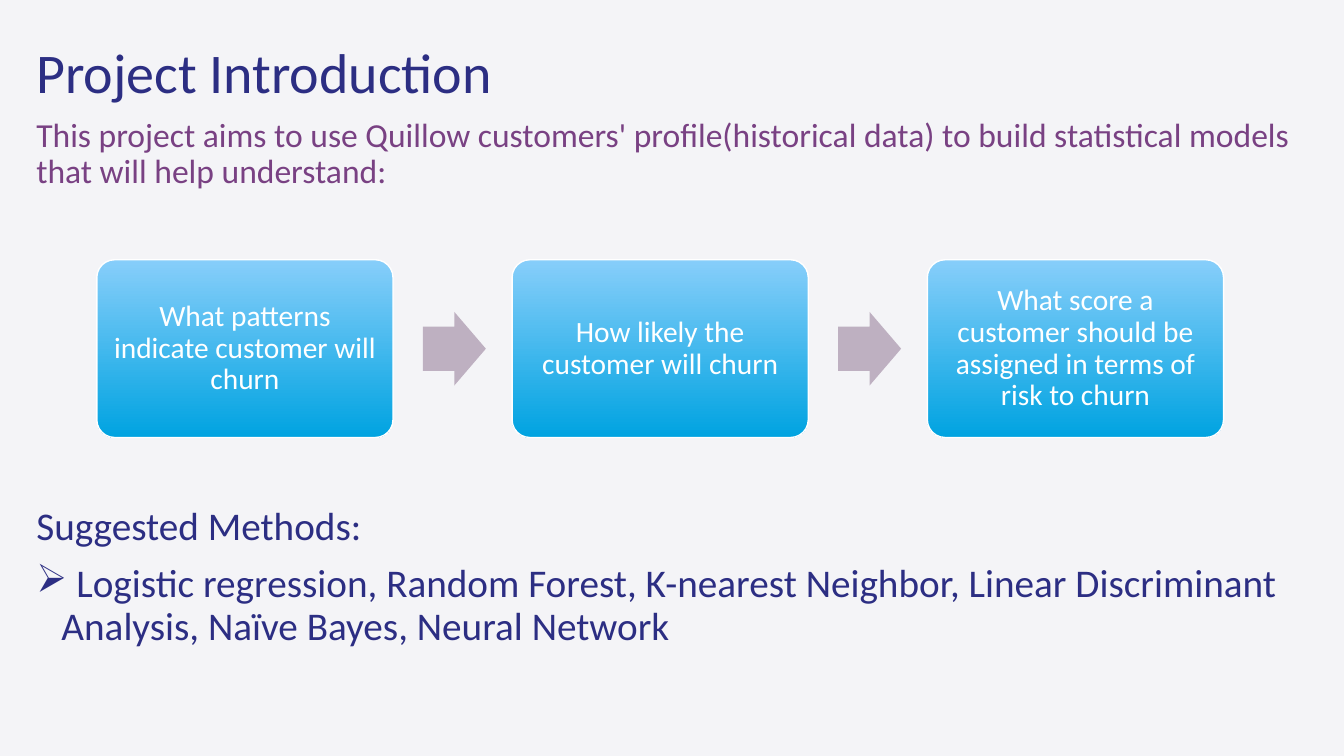
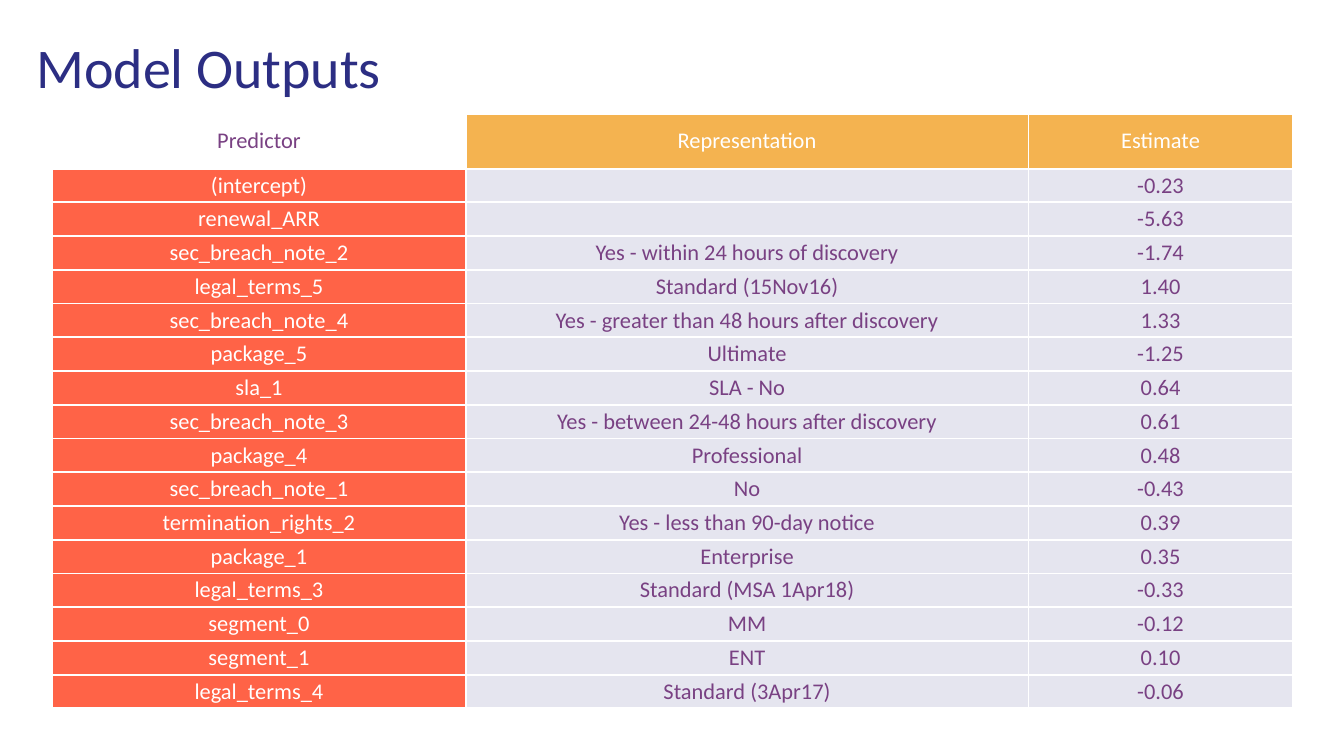
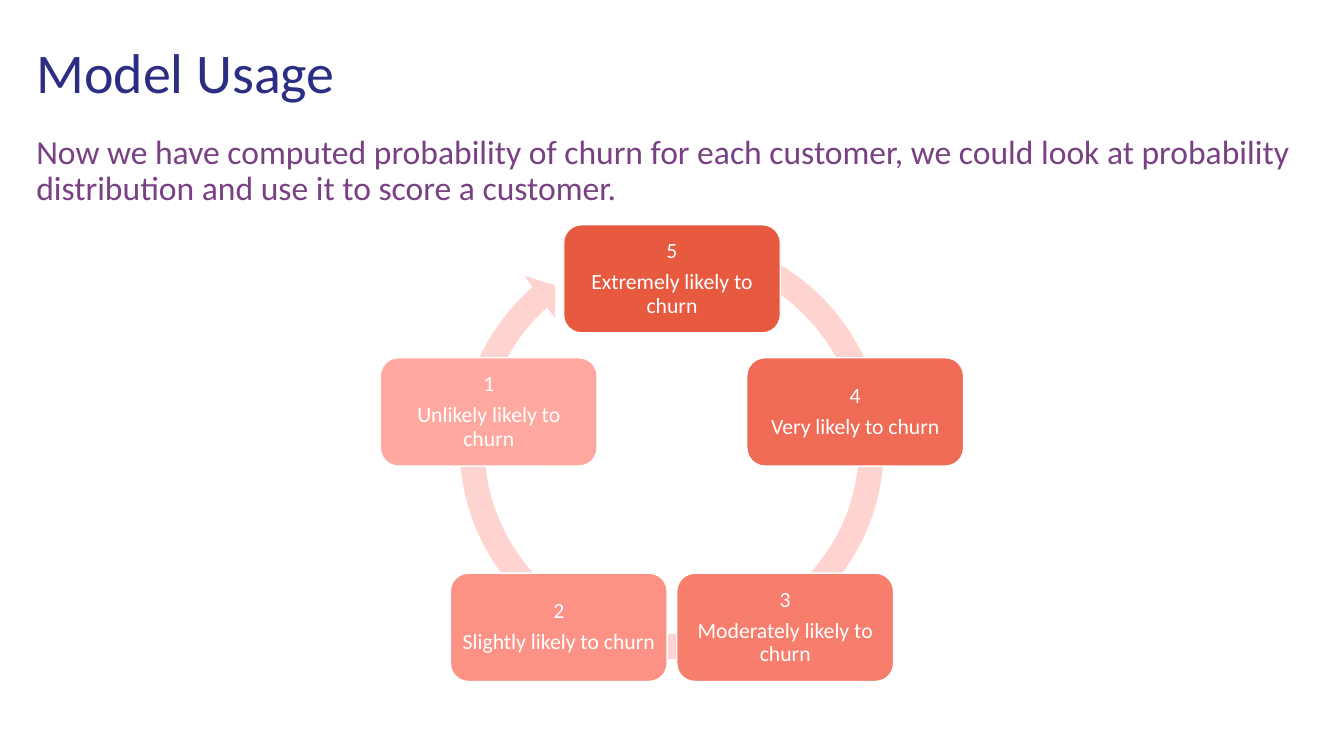
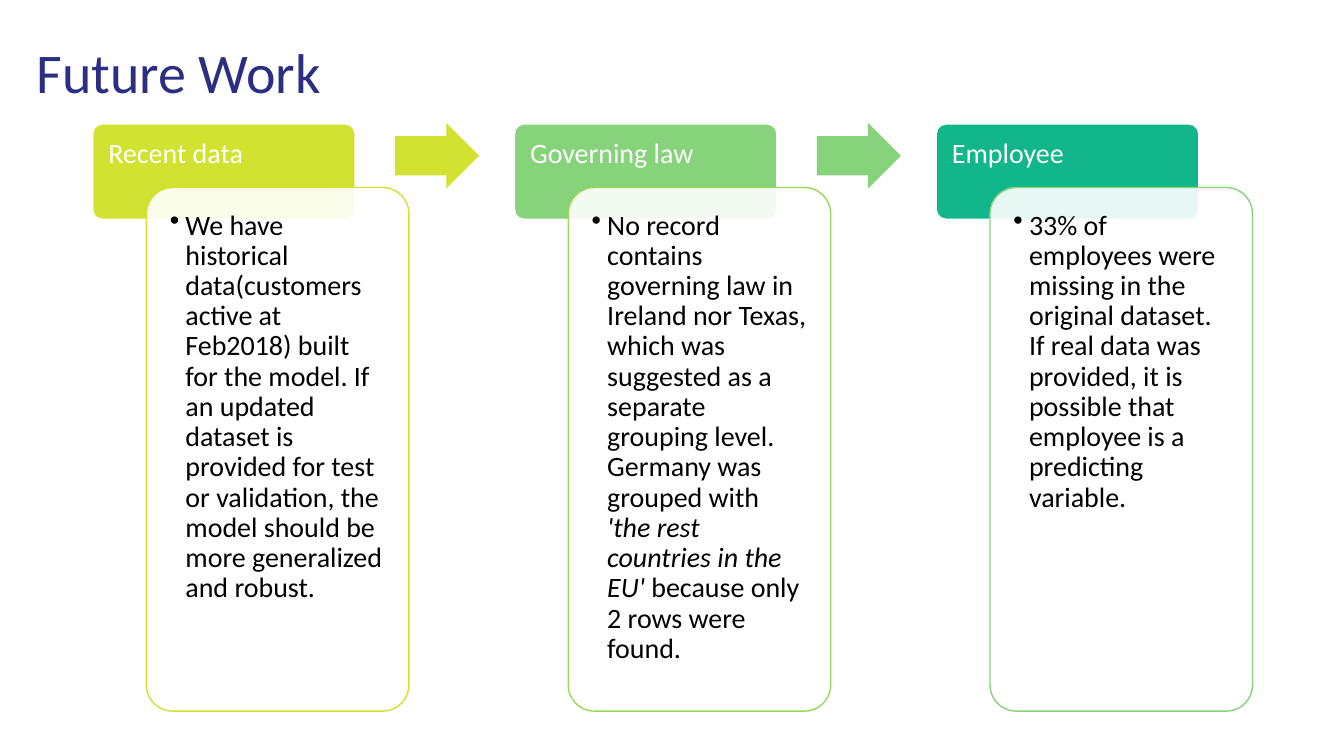
"""Build the four-slide customer churn project deck."""
import math

from lxml import etree
from pptx import Presentation
from pptx import util as u
from pptx.dml import color
from pptx.enum import shapes, text
from pptx.oxml import ns

FONT = "Calibri"
COLORS = {
    "navy": "2C2E83", "purple": "794183", "white": "FFFFFF", "black": "000000",
    "mist": "F4F4F7", "sky": "87CEFA", "azure": "00A3E1", "mauve": "BEB0C1",
    "amber": "F4B350", "tomato": "FF6347", "blush": "FFD3CF",
    "risk5": "E75A40", "risk4": "F06B56", "risk3": "F77D6D",
    "risk2": "FC9285", "risk1": "FFA8A0",
    "lime": "D1E231", "lime_edge": "D1E230", "leaf_edge": "9AD958",
    "leaf": "87D37C", "teal": "11B68A",
}
LEFT, CENTER = text.PP_ALIGN.LEFT, text.PP_ALIGN.CENTER
TOP, MIDDLE, BOTTOM = (text.MSO_ANCHOR.TOP, text.MSO_ANCHOR.MIDDLE,
                       text.MSO_ANCHOR.BOTTOM)
BOX, ARROW = shapes.MSO_SHAPE.ROUNDED_RECTANGLE, shapes.MSO_SHAPE.RIGHT_ARROW
TEXT_LEFT, TEXT_WIDTH = 1.32, 65.15
TEXT_INSETS = (0.51, 0.25)

QUESTIONS = [
    "What patterns indicate customer will churn",
    "How likely the customer will churn",
    "What score a customer should be assigned in terms of risk to churn",
]
HEADINGS = ("Predictor", "Representation", "Estimate")
ESTIMATES = [
    ("(intercept)", "", "-0.23"),
    ("renewal_ARR", "", "-5.63"),
    ("sec_breach_note_2", "Yes - within 24 hours of discovery", "-1.74"),
    ("legal_terms_5", "Standard (15Nov16)", "1.40"),
    ("sec_breach_note_4", "Yes - greater than 48 hours after discovery", "1.33"),
    ("package_5", "Ultimate", "-1.25"),
    ("sla_1", "SLA - No", "0.64"),
    ("sec_breach_note_3", "Yes - between 24-48 hours after discovery", "0.61"),
    ("package_4", "Professional", "0.48"),
    ("sec_breach_note_1", "No", "-0.43"),
    ("termination_rights_2", "Yes - less than 90-day notice", "0.39"),
    ("package_1", "Enterprise", "0.35"),
    ("legal_terms_3", "Standard (MSA 1Apr18)", "-0.33"),
    ("segment_0", "MM", "-0.12"),
    ("segment_1", "ENT", "0.10"),
    ("legal_terms_4", "Standard (3Apr17)", "-0.06"),
]
SCORES = [
    ("5", "Extremely likely to churn"),
    ("4", "Very likely to churn"),
    ("3", "Moderately likely to churn"),
    ("2", "Slightly likely to churn"),
    ("1", "Unlikely likely to churn"),
]
FUTURE_STEPS = [
    ("Recent data", "lime", "lime_edge", "lime_edge", [
        ("We have historical data(customers active at Feb2018) built for the "
         "model. If an updated dataset is provided for test or validation, the "
         "model should be more generalized and robust.", False)]),
    ("Governing law", "leaf", "leaf_edge", "leaf", [
        ("No record contains governing law in Ireland nor Texas, which was "
         "suggested as a separate grouping level. Germany was grouped with ", False),
        ("'the rest countries in the EU'", True),
        (" because only 2 rows were found.", False)]),
    ("Employee", "teal", "leaf", None, [
        ("33% of employees were missing in the original dataset. If real data "
         "was provided, it is possible that employee is a predicting variable.",
         False)]),
]


def rgb(name):
    """Return the named palette colour."""
    return color.RGBColor.from_string(COLORS[name])


def paint(fill, name, opacity=100):
    """Give a fill a solid colour, optionally see-through."""
    fill.solid()
    fill.fore_color.rgb = rgb(name)
    if opacity < 100:
        tint = fill._xPr.find(ns.qn("a:solidFill"))[0]
        etree.SubElement(tint, ns.qn("a:alpha"), val=str(opacity * 1000))


def set_frame(frame, insets, anchor):
    """Set wrapping, margins and anchor of a text frame."""
    frame.word_wrap = True
    frame.auto_size = text.MSO_AUTO_SIZE.NONE
    frame.vertical_anchor = anchor
    frame.margin_left = frame.margin_right = u.Cm(insets[0])
    frame.margin_top = frame.margin_bottom = u.Cm(insets[1])


def add_bullet(paragraph, mark, ink, margin, indent):
    """Give a paragraph a coloured bullet and a hanging indent."""
    props = paragraph._p.get_or_add_pPr()
    props.set("marL", str(u.Cm(margin)))
    props.set("indent", str(u.Cm(indent)))
    tint = etree.SubElement(props, ns.qn("a:buClr"))
    etree.SubElement(tint, ns.qn("a:srgbClr"), val=COLORS[ink])
    etree.SubElement(props, ns.qn("a:buChar"), char=mark)


def write(frame, paragraphs, size, ink, align=LEFT, gap=0, spacing=0.9):
    """Fill a frame with paragraphs, each a list of (words, italic) runs."""
    for index, runs in enumerate(paragraphs):
        paragraph = frame.add_paragraph() if index else frame.paragraphs[0]
        paragraph.alignment = align
        paragraph.line_spacing = spacing
        paragraph.space_before = u.Pt(gap if index else 0)
        for words, italic in runs:
            run = paragraph.add_run()
            run.text = words
            run.font.name, run.font.size = FONT, u.Pt(size)
            run.font.color.rgb = rgb(ink)
            run.font.italic = italic


def plain(*lines):
    """Turn strings into single-run upright paragraphs."""
    return [[(line, False)] for line in lines]


def add_slide(deck, heading, top=1.6, background="white"):
    """Add a title-only slide with its styled heading."""
    slide = deck.slides.add_slide(deck.slide_layouts[5])
    paint(slide.background.fill, background)
    title = slide.shapes.title
    title.left, title.top = u.Cm(TEXT_LEFT), u.Cm(top)
    title.width, title.height = u.Cm(TEXT_WIDTH), u.Cm(4.39)
    set_frame(title.text_frame, TEXT_INSETS, MIDDLE)
    write(title.text_frame, plain(heading), 80, "navy")
    return slide


def add_text(slide, top, height, lines, size, ink, anchor=MIDDLE, gap=0):
    """Add a full-width text box and return its frame."""
    box = slide.shapes.add_textbox(
        u.Cm(TEXT_LEFT), u.Cm(top), u.Cm(TEXT_WIDTH), u.Cm(height))
    set_frame(box.text_frame, TEXT_INSETS, anchor)
    write(box.text_frame, plain(*lines), size, ink, gap=gap)
    return box.text_frame


def add_figure(slide, kind, place, fill, edge=None, adjust=(), opacity=100):
    """Add a flat preset shape with place given as left, top, width, height."""
    figure = slide.shapes.add_shape(kind, *map(u.Cm, place))
    figure.shadow.inherit = False
    for index, value in enumerate(adjust):
        figure.adjustments[index] = value
    paint(figure.fill, fill, opacity)
    if edge:
        figure.line.color.rgb = rgb(edge)
        figure.line.width = u.Pt(2)
    else:
        figure.line.fill.background()
    return figure


def add_flow_arrow(slide, place, fill):
    """Add a block arrow between two steps."""
    add_figure(slide, ARROW, place, fill, adjust=(0.6, 0.5))


def add_question(slide, left, question):
    """Add one gradient question box."""
    box = add_figure(slide, BOX, (left, 13.09, 14.93, 8.96), "azure", "white", (0.1,))
    box.fill.gradient()
    box.fill.gradient_angle = 270
    for stop, name in zip(box.fill.gradient_stops, ("sky", "azure")):
        stop.color.rgb = rgb(name)
    set_frame(box.text_frame, (0.43, 0.43), MIDDLE)
    write(box.text_frame, plain(question), 42, "white", CENTER)


def add_borders(cell):
    """Draw white borders around a table cell."""
    props = cell._tc.get_or_add_tcPr()
    for side in ("lnL", "lnR", "lnT", "lnB"):
        line = etree.SubElement(props, ns.qn(f"a:{side}"), w=str(u.Pt(3)))
        solid = etree.SubElement(line, ns.qn("a:solidFill"))
        etree.SubElement(solid, ns.qn("a:srgbClr"), val=COLORS["white"])


def fill_cell(cell, words, column, is_heading):
    """Style and fill one cell of the estimates table."""
    add_borders(cell)
    ink = "white" if is_heading == (column > 0) else "purple"
    cell.vertical_anchor = MIDDLE
    if is_heading:
        cell.vertical_anchor = BOTTOM if column else TOP
        cell.margin_left = cell.margin_right = u.Cm(0.69)
        cell.margin_top = cell.margin_bottom = u.Cm(0.69)
    if not is_heading:
        paint(cell.fill, *(("navy", 12) if column else ("tomato",)))
    elif column:
        paint(cell.fill, "amber")
    else:
        cell.fill.background()
    if words:
        write(cell.text_frame, plain(words), 32, ink, CENTER, spacing=1.0)


def add_estimates(slide):
    """Add the table of model estimates."""
    rows = [HEADINGS, *ESTIMATES]
    widths = (20.83, 28.37, 13.31)
    table = slide.shapes.add_table(
        len(rows), len(widths), u.Cm(2.64), u.Cm(5.74),
        u.Cm(sum(widths)), u.Cm(28.95)).table
    table.first_row = table.horz_banding = False
    for column, width in zip(table.columns, widths):
        column.width = u.Cm(width)
    for r, words in enumerate(rows):
        table.rows[r].height = u.Cm(1.7 if r else 1.75)
        for c, word in enumerate(words):
            fill_cell(table.cell(r, c), word, c, r == 0)


def add_score_cycle(slide):
    """Add the ring of churn scores, clockwise from the top."""
    center_x, center_y, radius = 33.87, 23.76, 9.71
    width, height = 10.93, 5.46
    add_figure(slide, shapes.MSO_SHAPE.CIRCULAR_ARROW, (22.48, 11.15, 22.76, 22.76),
               "blush", adjust=(0.055, 3.307, 137.194, 174.205, 0.058))
    for index, (score, meaning) in enumerate(SCORES):
        angle = math.tau * index / len(SCORES)
        left = center_x + radius * math.sin(angle) - width / 2
        top = center_y - radius * math.cos(angle) - height / 2
        box = add_figure(slide, BOX, (left, top, width, height), f"risk{score}", "white")
        set_frame(box.text_frame, (0.33, 0.33), MIDDLE)
        write(box.text_frame, plain(score, meaning), 31, "white", CENTER, gap=11)


def add_future_step(slide, left, step):
    """Add a heading tab, its detail card and the arrow onwards."""
    heading, fill, edge, arrow, details = step
    tab = add_figure(slide, BOX, (left, 6.25, 13.23, 4.8), fill, "white", (0.1,))
    set_frame(tab.text_frame, (0.65, 0.65), TOP)
    write(tab.text_frame, plain(heading), 40, "white")
    card = add_figure(slide, BOX, (left + 2.71, 9.45, 13.23, 26.39), "white", edge,
                      (0.1,), opacity=90)
    set_frame(card.text_frame, (0.79, 0.79), TOP)
    add_bullet(card.text_frame.paragraphs[0], "•", "black", 0.79, -0.79)
    write(card.text_frame, [details], 40, "black")
    if arrow:
        add_flow_arrow(slide, (left + 15.24, 6.2, 4.24, 3.3), arrow)


def main():
    """Build and save the deck."""
    deck = Presentation()
    deck.slide_width, deck.slide_height = u.Cm(67.74), u.Cm(38.1)

    intro = add_slide(deck, "Project Introduction", background="mist")
    methods = add_text(intro, 25.3, 6.8, [
        "Suggested Methods:",
        " Logistic regression, Random Forest, K-nearest Neighbor, Linear "
        "Discriminant Analysis, Naïve Bayes, Neural Network",
    ], 56, "navy", TOP, gap=21)
    add_bullet(methods.paragraphs[1], "➢", "navy", 1.27, -1.63)
    add_text(intro, 6.78, 2.03, [
        "This project aims to use Quillow customers' profile(historical data) to "
        "build statistical models that will help understand:"], 48, "purple")
    for index, question in enumerate(QUESTIONS):
        left = 4.88 + 20.93 * index
        add_question(intro, left, question)
        if index < len(QUESTIONS) - 1:
            add_flow_arrow(intro, (left + 16.43, 15.72, 3.18, 3.71), "mauve")

    add_estimates(add_slide(deck, "Model Outputs", top=1.35))

    usage = add_slide(deck, "Model Usage")
    add_text(usage, 7.65, 2.03, [
        "Now we have computed probability of churn for each customer, we could "
        "look at probability distribution and use it to score a customer."],
        48, "purple")
    add_score_cycle(usage)

    future = add_slide(deck, "Future Work")
    for index, step in enumerate(FUTURE_STEPS):
        add_future_step(future, 4.67 + 21.26 * index, step)

    deck.save("out.pptx")


if __name__ == "__main__":
    main()
